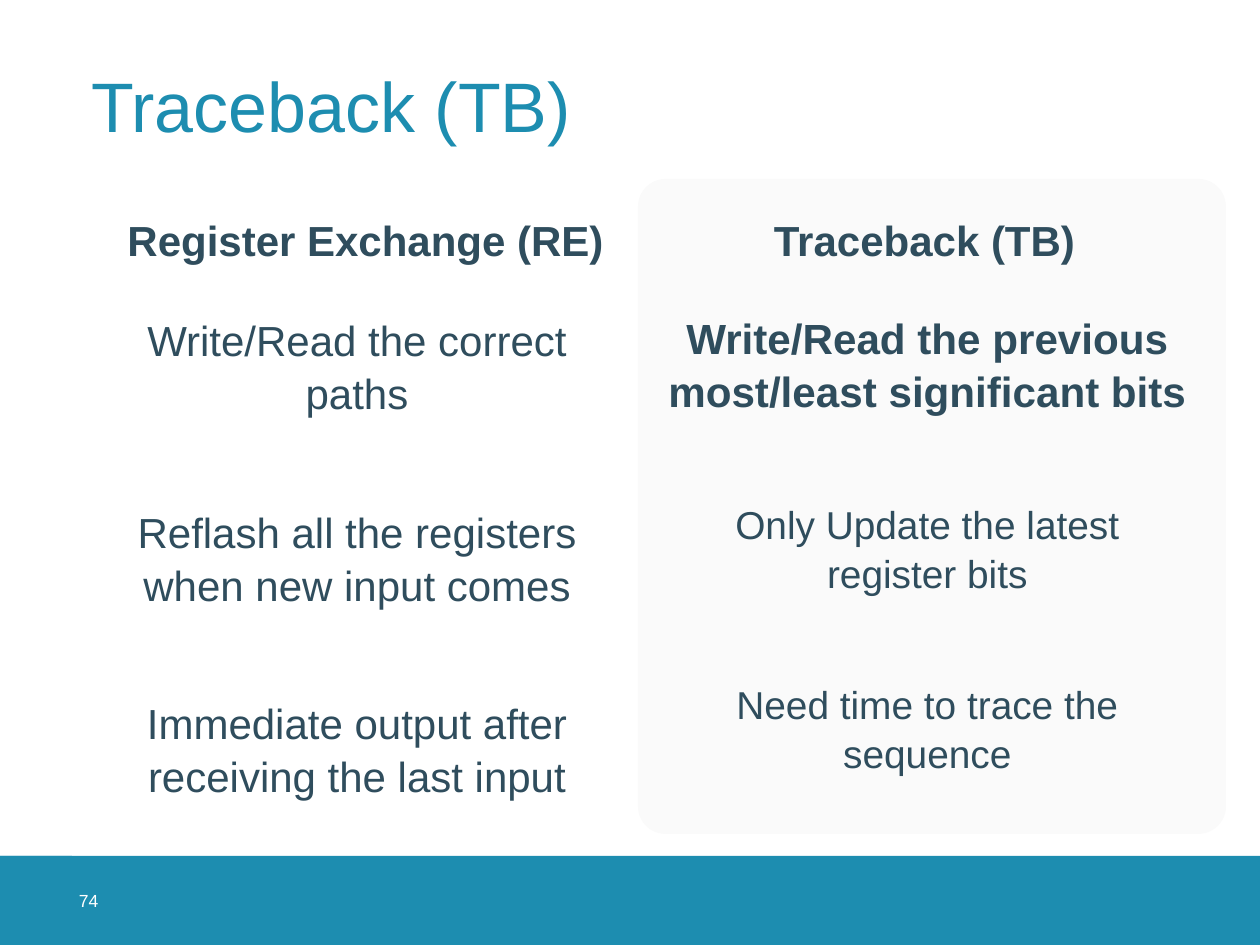
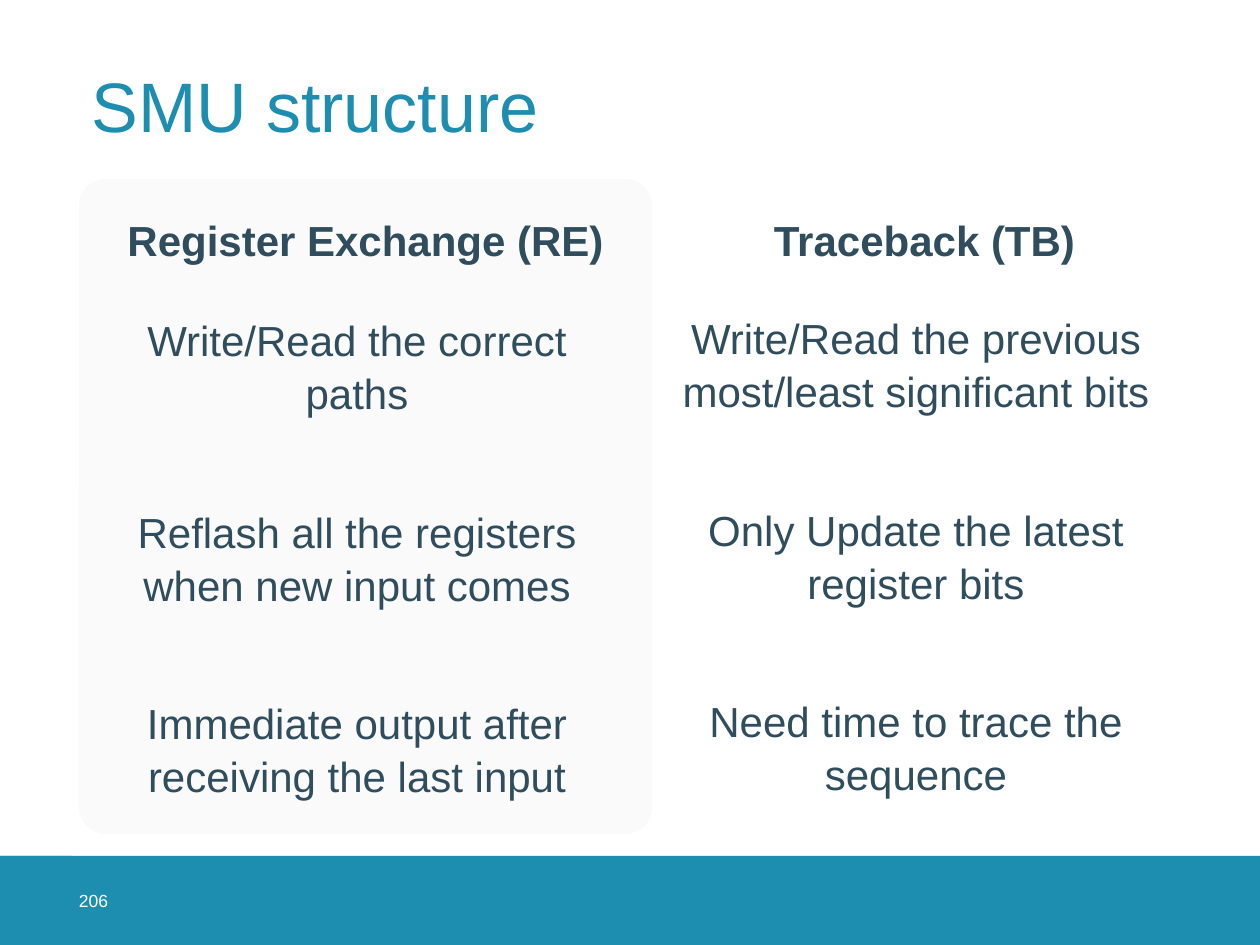
from pptx import Presentation
from pptx.dml.color import RGBColor
from pptx.enum.shapes import MSO_SHAPE as SHAPE
from pptx.enum.text import MSO_ANCHOR as ANCHOR, PP_ALIGN as ALIGN
from pptx.util import Emu, Pt

PX = 914400 / 126
COLORS = {"teal": "1D8DB0", "slate": "2F4D5D", "panel": "FAFAFA", "white": "FFFFFF"}
W, H = 1260, 945
LEFT_X, RIGHT_X, COL_W = 79, 638, 541
FOOTER_Y, FOOTER_H = 856, 89

TITLE = {"size": 40, "color": "teal", "line_spacing": 0.9, "anchor": ANCHOR.MIDDLE}
HEADING = {"size": 24, "bold": True, "line_spacing": 0.9, "alignment": ALIGN.CENTER,
           "anchor": ANCHOR.BOTTOM, "margin": 63, "indent": -31}
BODY = {"size": 24, "line_spacing": 1.05, "alignment": ALIGN.CENTER, "margin": 15}
NUMBER = {"size": 10, "color": "white", "anchor": ANCHOR.MIDDLE, "inset": (0, 0)}

RE_POINTS = ["Write/Read the correct paths",
             "Reflash all the registers when new input comes",
             "Immediate output after receiving the last input"]
TB_POINTS = ["Write/Read the previous most/least significant bits",
             "Only Update the latest register bits",
             "Need time to trace the sequence"]


def px(n):
    return Emu(round(n * PX))


def rgb(name):
    return RGBColor.from_string(COLORS[name])


def add_block(s, kind, color, *box):
    sp = s.shapes.add_shape(kind, *map(px, box))
    sp.shadow.inherit = False
    sp.fill.solid()
    sp.fill.fore_color.rgb = rgb(color)
    sp.line.fill.background()
    return sp


def add_panel(s, x, w):
    sp = add_block(s, SHAPE.ROUNDED_RECTANGLE, "panel", x, 179, w, 655)
    sp.adjustments[0] = 0.047


def add_text(s, lines, box, style, first=None):
    tf = s.shapes.add_textbox(*map(px, box)).text_frame
    dx, dy = style.get("inset", (0.1, 0.05))
    frame = {"word_wrap": True, "vertical_anchor": style.get("anchor", ANCHOR.TOP),
             "margin_left": Emu(int(dx * 914400)), "margin_right": Emu(int(dx * 914400)),
             "margin_top": Emu(int(dy * 914400)), "margin_bottom": Emu(int(dy * 914400))}
    for key, value in frame.items():
        setattr(tf, key, value)
    for i, line in enumerate(lines):
        p = tf.paragraphs[0] if i == 0 else tf.add_paragraph()
        fmt = {**style, **(first or {})} if i == 0 else style
        pPr = p._p.get_or_add_pPr()
        pPr.set("marL", str(px(fmt.get("margin", 0))))
        pPr.set("indent", str(px(fmt.get("indent", 0))))
        for key in ("alignment", "line_spacing"):
            setattr(p, key, fmt.get(key))
        if i:
            p.space_before = Pt(round(20 + 1.2 * fmt["size"]))
        r = p.add_run()
        r.text = line
        font = {"name": "Arial", "size": Pt(fmt["size"]), "bold": fmt.get("bold", False)}
        for key, value in font.items():
            setattr(r.font, key, value)
        r.font.color.rgb = rgb(fmt.get("color", "slate"))


def add_column(s, heading, points, x, y, w=COL_W, style=BODY, first=None):
    add_text(s, [heading], (x, 193, COL_W, 79), HEADING)
    add_text(s, points, (x, y, w, 507), style, first)


def add_comparison(prs, title, number, panel, **right):
    s = prs.slides.add_slide(prs.slide_layouts[6])
    add_block(s, SHAPE.RECTANGLE, "teal", 0, FOOTER_Y, W, FOOTER_H)
    add_panel(s, *panel)
    add_column(s, "Register Exchange (RE)", RE_POINTS, LEFT_X, 306)
    add_column(s, "Traceback (TB)", TB_POINTS, RIGHT_X, 304, **right)
    add_text(s, [number], (LEFT_X, FOOTER_Y, 89, FOOTER_H), NUMBER)
    add_text(s, [title], (LEFT_X, 30, 1101, 159), TITLE)
    add_block(s, SHAPE.RECTANGLE, "teal", 0, FOOTER_Y, 72, FOOTER_H)


def main():
    prs = Presentation()
    prs.slide_width, prs.slide_height = px(W), px(H)
    add_comparison(prs, "Traceback (TB)", "74", (RIGHT_X, 588), w=564,
                   style={**BODY, "size": 22.2}, first={"size": 24.1, "bold": True})
    add_comparison(prs, "SMU structure", "206", (LEFT_X, 573))
    prs.save("out.pptx")


if __name__ == "__main__":
    main()
